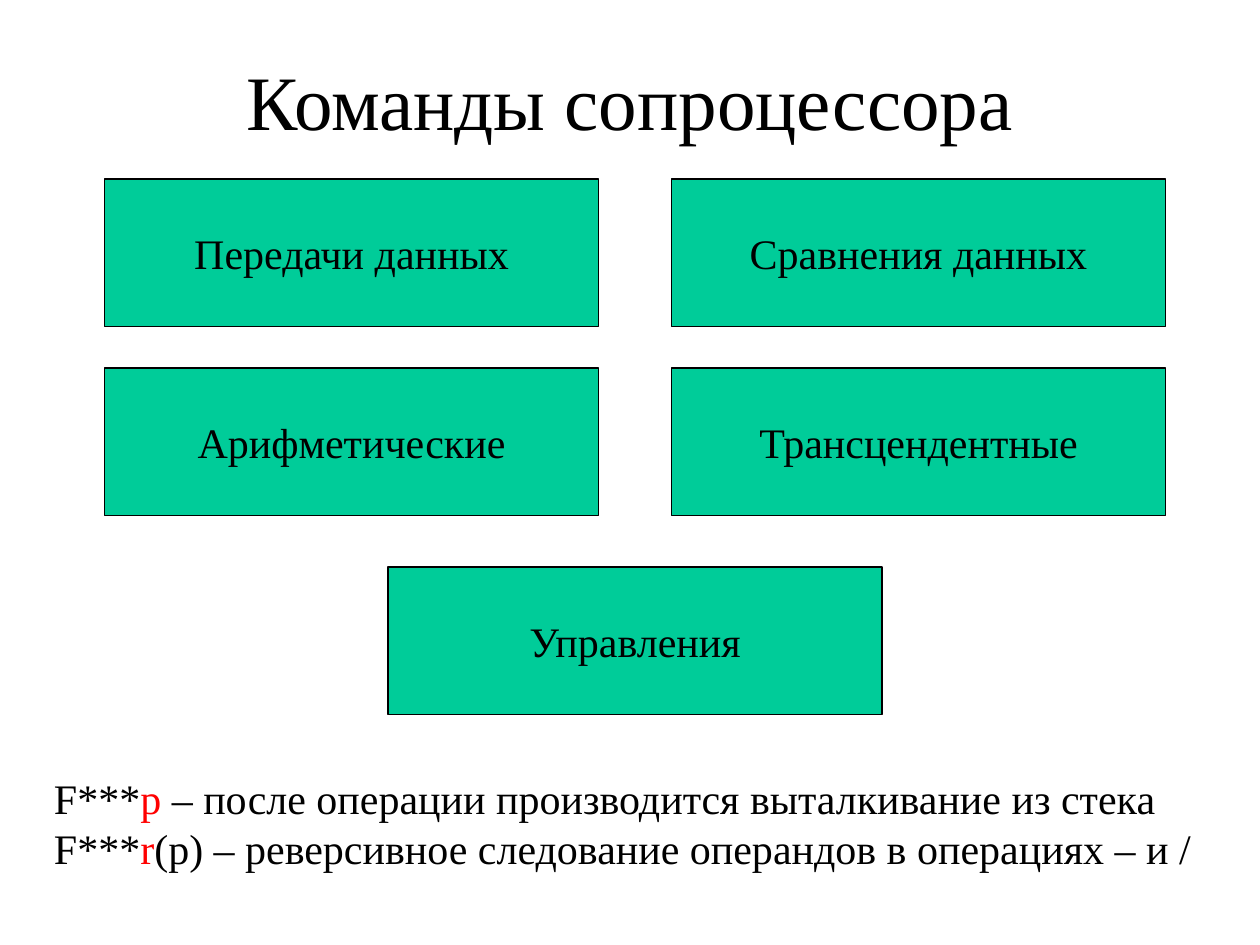
from pptx import Presentation
from pptx.dml.color import RGBColor
from pptx.enum.shapes import MSO_SHAPE
from pptx.enum.text import MSO_ANCHOR, MSO_AUTO_SIZE, PP_ALIGN
from pptx.util import Inches, Pt

COLORS = {"text": "000000", "accent": "FF0000", "box": "00CC99", "line": "000000"}


def add_run(p, text, size, color="text"):
    r = p.add_run()
    r.text = text
    for name, value in {"name": "Times New Roman", "size": Pt(size)}.items():
        setattr(r.font, name, value)
    r.font.color.rgb = RGBColor.from_string(COLORS[color])


prs = Presentation()
prs.slide_width, prs.slide_height = Inches(10), Inches(7.5)
s = prs.slides.add_slide(prs.slide_layouts[6])

# Title
title = s.shapes.add_textbox(Inches(0.75), Inches(0.33), Inches(8.5), Inches(0.92))
tf = title.text_frame
tf.word_wrap = True
tf.vertical_anchor = MSO_ANCHOR.MIDDLE
tf.paragraphs[0].alignment = PP_ALIGN.CENTER
add_run(tf.paragraphs[0], "Команды сопроцессора", 44)

# Command groups: two columns, with the last box centred below them
left, right = 0.83, 5.33
groups = [
    ("Передачи данных", left, 1.42),
    ("Сравнения данных", right, 1.42),
    ("Арифметические", left, 2.92),
    ("Трансцендентные", right, 2.92),
    ("Управления", (left + right) / 2, 4.5),
]
for text, x, y in groups:
    box = s.shapes.add_shape(
        MSO_SHAPE.RECTANGLE, Inches(x), Inches(y), Inches(3.92), Inches(1.17)
    )
    box.shadow.inherit = False
    box.fill.solid()
    box.fill.fore_color.rgb = RGBColor.from_string(COLORS["box"])
    box.line.color.rgb = RGBColor.from_string(COLORS["line"])
    box.line.width = Pt(0.75)
    tf = box.text_frame
    tf.word_wrap = False
    tf.vertical_anchor = MSO_ANCHOR.MIDDLE
    tf.paragraphs[0].alignment = PP_ALIGN.CENTER
    add_run(tf.paragraphs[0], text, 24)

# Mnemonic suffixes
suffixes = [
    ("p", " – после операции производится выталкивание из стека"),
    ("r", "(p) – реверсивное следование операндов в операциях – и /"),
]
note = s.shapes.add_textbox(Inches(0.33), Inches(6.08), Inches(9.42), Inches(0.9))
tf = note.text_frame
tf.word_wrap = True
tf.auto_size = MSO_AUTO_SIZE.SHAPE_TO_FIT_TEXT
p = tf.paragraphs[0]
p.space_before = Pt(15)
for i, (suffix, meaning) in enumerate(suffixes):
    if i:
        p.add_line_break()
    add_run(p, "F***", 24)
    add_run(p, suffix, 24, "accent")
    add_run(p, meaning, 24)

prs.save("out.pptx")
